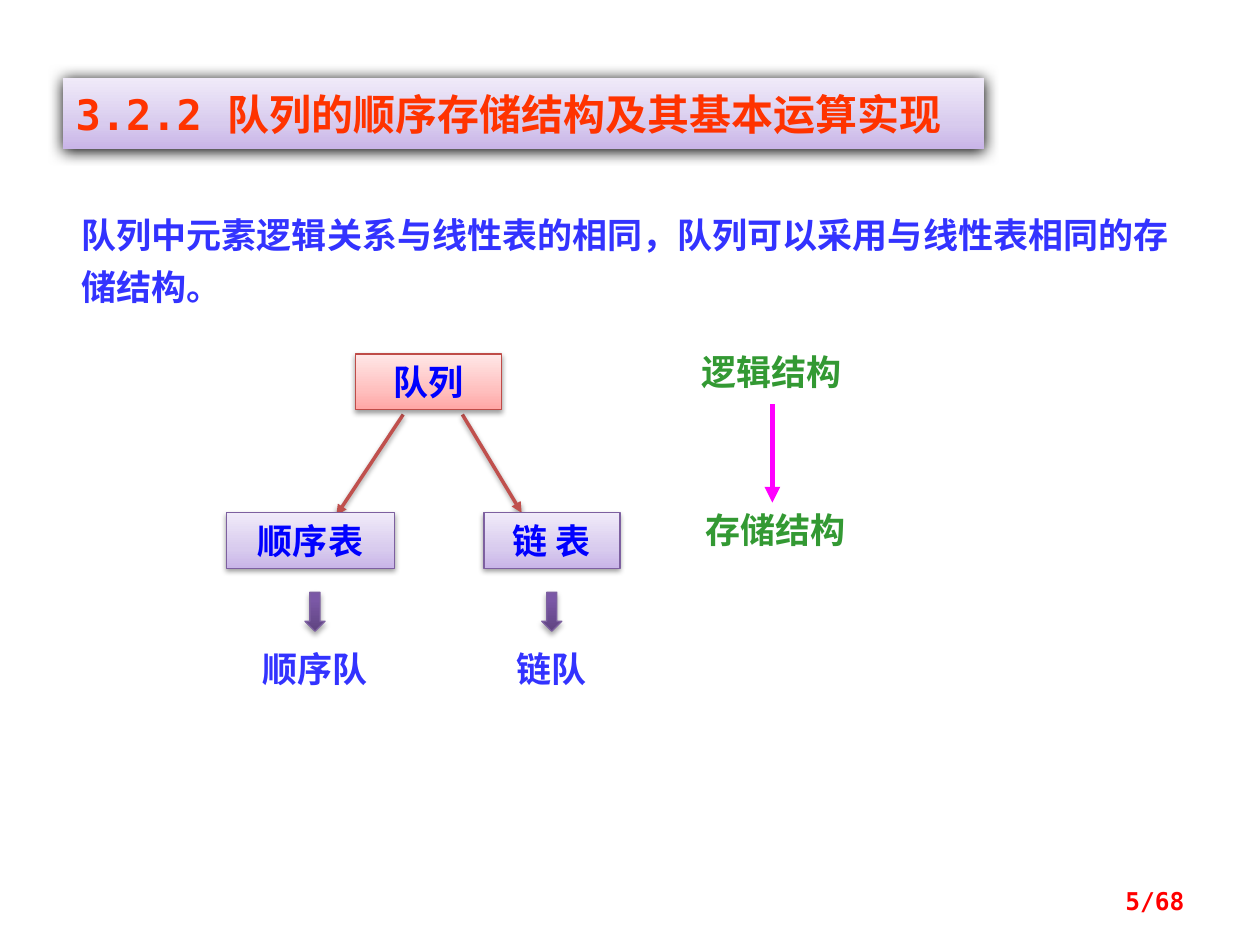
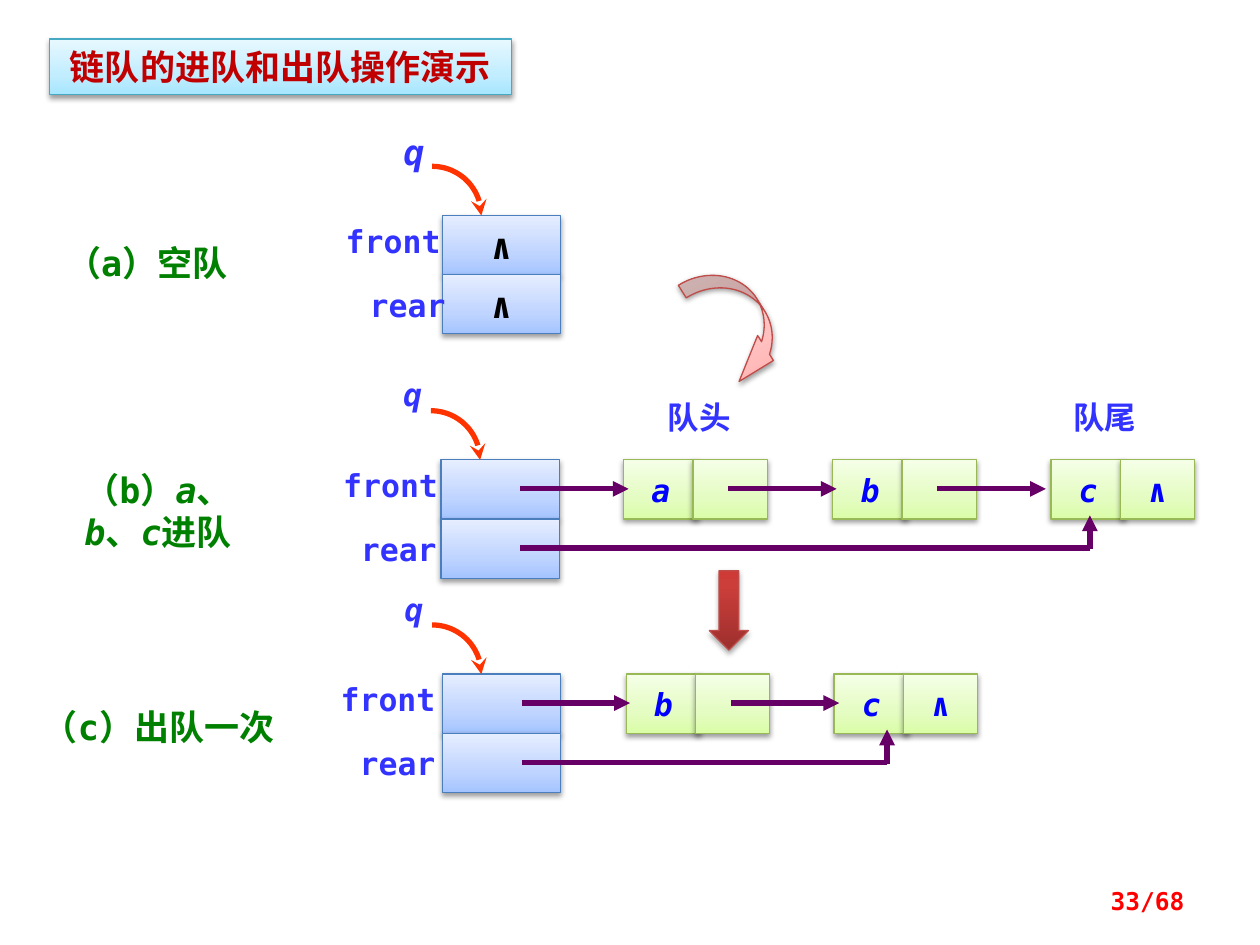
import math
import lxml.etree
import pptx
import pptx.dml.color
import pptx.enum.shapes
import pptx.enum.text
import pptx.oxml.ns
import pptx.util

PX = 9144
SHAPES = pptx.enum.shapes.MSO_SHAPE
ALIGN = pptx.enum.text.PP_ALIGN
ANCHOR = pptx.enum.text.MSO_ANCHOR
qn = pptx.oxml.ns.qn

MONO = "DejaVu Sans Mono"
CJK = "Noto Sans CJK SC"
CJK_ROUND = "Noto Sans CJK JP"
SERIF = "Times New Roman"
BLUE, NODE_BLUE, GREEN, DARK_GREEN = "3333FF", "0000FF", "339933", "008000"
ORANGE, RED, CRIMSON, BLACK = "FF3300", "FF0000", "C00000", "000000"
MAGENTA, PLUM, BRICK = "FF00FF", "660066", "C0504D"

THEMES = {
    "violet": (((0, "C9B5E8"), (35, "D8CBEE"), (100, "F0EAF9")), "7D60A0"),
    "pink": (((0, "FFA6A5"), (35, "FFC0BF"), (100, "FFE7E7")), "BF4C48"),
    "sky": (((0, "A7E6FF"), (35, "C1EDFF"), (100, "E7F8FF")), "46AAC5"),
    "blue": (((0, "A4C4FF"), (35, "BFD4FF"), (100, "E6EEFF")), "4B7EBC"),
    "lime": (((0, "DAFDA7"), (35, "E4FCC2"), (100, "F5FFE7")), "98B955"),
    "purple": (((0, "5F4480"), (80, "7B58A6"), (100, "7C57A8")), "7D60A0"),
    "red": (((0, "9C2F2D"), (80, "CB3E3A"), (100, "CE3B37")), "BF4C48"),
}
SOFT_SHADOW = (38, 3.1, 1.6)
ARROW_SHADOW = (35, 3.1, 1.8)
TITLE_SHADOW = (100, 8.5, 1)

NIL = "∧"
VARIABLES = {"q", "a", "b", "c"}

STRUCTURE = {
    "title": "3.2.2 队列的顺序存储结构及其基本运算实现",
    "intro": "队列中元素逻辑关系与线性表的相同，队列可以采用与线性表相同的存储结构。",
    "levels": [("逻辑结构", (547, 273, 148, 44)), ("存储结构", (550, 399, 157, 44))],
    "boxes": [
        ("队列", (282, 281, 116, 44), "pink", "Calibri"),
        ("顺序表", (180, 407, 133, 44), "violet", CJK),
        ("链 表", (384, 407, 108, 44), "violet", CJK),
    ],
    "branches": [(320, 329, 267, 409), (367, 329, 414, 407)],
    "results": [("顺序队", 250), ("链队", 438)],
    "footer": "5/68",
}

DEMO = {
    "title": "链队的进队和出队操作演示",
    "captions": [
        (["（a）空队"], (30, 187, 173, 44)),
        (["（b）", "a", "、", "b", "、", "c", "进队"], (39, 367, 173, 77)),
        (["（c）出队一次"], (8, 555, 236, 44)),
    ],
    "ends": [("队头", 500), ("队尾", 822)],
    "queues": [
        {"origin": (351, 171), "labels": (262, 280), "q_size": 20, "nodes": []},
        {"origin": (350, 365), "labels": (260, 273), "q_size": 18,
         "nodes": [("a", 495), ("b", 661), ("c", 834)], "rear_end": 865},
        {"origin": (351, 535), "labels": (258, 272), "q_size": 18,
         "nodes": [("b", 497), ("c", 662)], "rear_end": 704},
    ],
    "footer": "33/68",
}


def px(*values):
    return [pptx.util.Emu(round(value * PX)) for value in values]


def color(value):
    return pptx.dml.color.RGBColor.from_string(value)


def add_element(parent, tag, **attributes):
    element = lxml.etree.SubElement(parent, qn(tag))
    for name, value in attributes.items():
        element.set(name, str(value))
    return element


def add_shadow(effects, opacity, blur, distance):
    shadow = add_element(effects, "a:outerShdw", blurRad=round(blur * 12700),
                         dist=round(distance * 12700), dir=5400000, rotWithShape=0)
    tint = add_element(shadow, "a:srgbClr", val=BLACK)
    add_element(tint, "a:alpha", val=opacity * 1000)


def paint(shape, theme, shadow=SOFT_SHADOW):
    stops, outline = THEMES[theme]
    shape.fill.gradient()
    shape.fill.gradient_angle = 90
    stop_list = shape.element.spPr.find(".//" + qn("a:gsLst"))
    for stop in list(stop_list):
        stop_list.remove(stop)
    for position, value in stops:
        stop = add_element(stop_list, "a:gs", pos=position * 1000)
        add_element(stop, "a:srgbClr", val=value)
    shape.line.color.rgb = color(outline)
    shape.line.width = pptx.util.Pt(0.75)
    shape.shadow.inherit = False
    add_shadow(shape.element.spPr.find(qn("a:effectLst")), *shadow)


def write(shape, parts, size, value, font=CJK, align=ALIGN.CENTER, anchor=ANCHOR.TOP, inset=5):
    frame = shape.text_frame
    frame.word_wrap = True
    frame.auto_size = pptx.enum.text.MSO_AUTO_SIZE.NONE
    frame.vertical_anchor = anchor
    frame.margin_left, frame.margin_right = px(10, 10)
    frame.margin_top, frame.margin_bottom = px(inset, inset)
    paragraph = frame.paragraphs[0]
    paragraph.alignment = align
    for part in [parts] if isinstance(parts, str) else parts:
        run = paragraph.add_run()
        run.text = part
        run.font.name = font
        run.font.size = pptx.util.Pt(size)
        run.font.bold = True
        run.font.italic = part in VARIABLES
        run.font.color.rgb = color(value)
        east_asian = font if part == NIL or font == CJK_ROUND else CJK
        add_element(run.font._element, "a:ea", typeface=east_asian)
    return paragraph


def add_label(slide, parts, box, size, value, font=CJK, **options):
    return write(slide.shapes.add_textbox(*px(*box)), parts, size, value, font, **options)


def add_box(slide, box, theme, kind=SHAPES.RECTANGLE, shadow=SOFT_SHADOW):
    shape = slide.shapes.add_shape(kind, *px(*box))
    paint(shape, theme, shadow)
    return shape


def add_cell(slide, box, theme, text, size, value):
    cell = add_box(slide, box, theme)
    if text:
        write(cell, text, size, value, MONO, anchor=ANCHOR.MIDDLE)


def style_line(shape, value, width, head):
    shape.line.color.rgb = color(value)
    shape.line.width = pptx.util.Pt(width)
    if head:
        add_element(shape.element.spPr.find(qn("a:ln")), "a:tailEnd", type=head)


def add_line(slide, ends, value, width=3, head="triangle", shadow=None):
    straight = pptx.enum.shapes.MSO_CONNECTOR.STRAIGHT
    connector = slide.shapes.add_connector(straight, *px(*ends))
    style_line(connector, value, width, head)
    effects = add_element(connector.element.spPr, "a:effectLst")
    if shadow:
        add_shadow(effects, *shadow)


def add_hook(slide, left, top, radius=39, steps=24):
    angles = [math.pi / 2 * step / steps for step in range(steps + 1)]
    points = [px(left + radius * math.sin(angle), top + radius * (1 - math.cos(angle)))
              for angle in angles]
    builder = slide.shapes.build_freeform(*points[0])
    builder.add_line_segments(points[1:], close=False)
    hook = builder.convert_to_shape()
    hook.fill.background()
    hook.shadow.inherit = False
    style_line(hook, ORANGE, 3, "stealth")


def start_slide(presentation, content, box, theme, size, value, font, shadow, **options):
    slide = presentation.slides.add_slide(presentation.slide_layouts[5])
    title = slide.shapes.title
    title.left, title.top, title.width, title.height = px(*box)
    paint(title, theme, shadow)
    write(title, content["title"], size, value, font, **options)
    add_label(slide, content["footer"], (717, 695, 233, 40), 14, RED, MONO,
              align=ALIGN.RIGHT, anchor=ANCHOR.MIDDLE)
    return slide


def build_structure(presentation):
    slide = start_slide(presentation, STRUCTURE, (50, 62, 731, 56), "violet", 24, ORANGE,
                        MONO, TITLE_SHADOW, align=ALIGN.LEFT, inset=8)
    slide.shapes.title.line.fill.background()
    intro = add_label(slide, STRUCTURE["intro"], (55, 156, 883, 90), 20, BLUE, SERIF,
                      align=ALIGN.LEFT)
    intro.line_spacing = pptx.util.Pt(30)
    for text, box in STRUCTURE["levels"]:
        add_label(slide, text, box, 20, GREEN, align=ALIGN.LEFT)
    add_line(slide, (613, 321, 613, 399), MAGENTA)
    for ends in STRUCTURE["branches"]:
        add_line(slide, ends, BRICK, 2, shadow=SOFT_SHADOW)
    for text, box, theme, font in STRUCTURE["boxes"]:
        write(add_box(slide, box, theme), text, 20, NODE_BLUE, font)
    for text, center in STRUCTURE["results"]:
        add_box(slide, (center - 8, 470, 16, 31), "purple", SHAPES.DOWN_ARROW, ARROW_SHADOW)
        add_label(slide, text, (center - 86, 509, 172, 44), 20, BLUE, CJK_ROUND)


def add_queue(slide, queue):
    left, top = queue["origin"]
    front_left, rear_left = queue["labels"]
    nodes = queue["nodes"]
    for row in range(2):
        add_cell(slide, (left, top + 47 * row, 94, 47), "blue", "" if nodes else NIL, 20, BLACK)
    add_hook(slide, left - 8, top - 39)
    add_label(slide, "q", (left - 46, top - 72, 47, 42), queue["q_size"], BLUE, MONO)
    add_label(slide, "front", (front_left, top, 100, 40), 18, BLUE, MONO)
    add_label(slide, "rear", (rear_left, top + 51, 87, 40), 18, BLUE, MONO)
    for index, (name, node_left) in enumerate(nodes):
        link = NIL if index == len(nodes) - 1 else ""
        for offset, text in ((0, name), (55, link)):
            add_cell(slide, (node_left + offset, top, 59, 47), "lime", text, 18, NODE_BLUE)
    if nodes:
        starts = [left + 63] + [node_left + 83 for _, node_left in nodes[:-1]]
        for start in starts:
            add_line(slide, (start, top + 23, start + 86, top + 23), PLUM)
        end = queue["rear_end"]
        add_line(slide, (left + 63, top + 70, end, top + 70), PLUM, head=None)
        add_line(slide, (end, top + 71, end, top + 44), PLUM)


def build_demo(presentation):
    slide = start_slide(presentation, DEMO, (39, 31, 367, 44), "sky", 20, CRIMSON,
                        CJK, SOFT_SHADOW)
    for parts, box in DEMO["captions"]:
        add_label(slide, parts, box, 20, DARK_GREEN, MONO)
    for queue in DEMO["queues"]:
        add_queue(slide, queue)
    for text, left in DEMO["ends"]:
        add_label(slide, text, (left, 311, 110, 40), 18, BLUE)
    turn = add_box(slide, (562, 206, 47, 102), "pink", SHAPES.CURVED_LEFT_ARROW)
    turn.rotation = 327.7
    for index, value in enumerate((0.25, 0.5, 0.68)):
        turn.adjustments[index] = value
    add_box(slide, (563, 453, 31, 63), "red", SHAPES.DOWN_ARROW, ARROW_SHADOW)


def main():
    presentation = pptx.Presentation()
    presentation.slide_width, presentation.slide_height = px(1000, 750)
    build_structure(presentation)
    build_demo(presentation)
    presentation.save("out.pptx")


if __name__ == "__main__":
    main()
